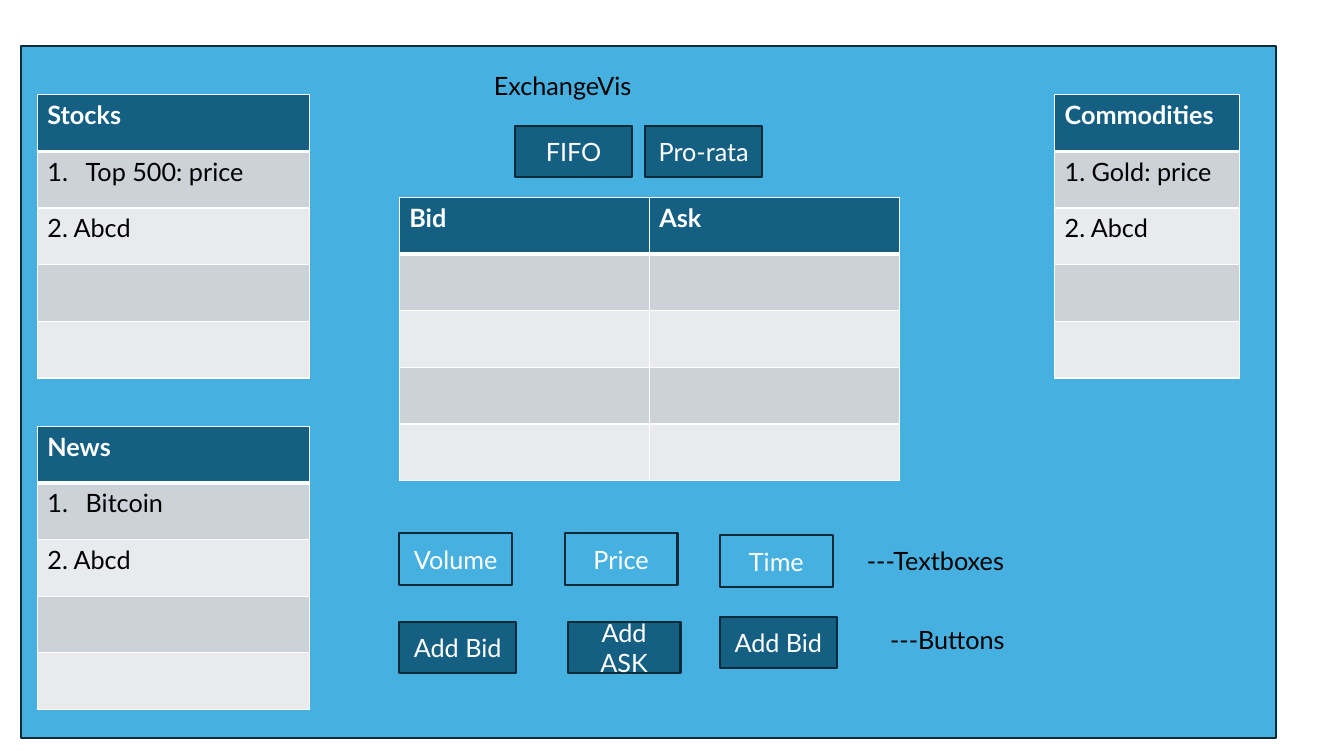
from dataclasses import dataclass

from lxml import etree
from pptx import Presentation
from pptx.dml.color import RGBColor
from pptx.enum import shapes, text
from pptx.oxml.ns import qn
from pptx.util import Inches, Pt


@dataclass(frozen=True)
class Theme:
    font: str = "Lato"
    size: int = 18
    panel: str = "46B1E1"
    accent: str = "156082"
    outline: str = "092A39"
    bands: tuple = ("CCD2D8", "E8EAED")
    light: str = "FFFFFF"
    dark: str = "000000"
    line: float = 1.5
    grid: float = 1
    header_rule: float = 3


class Mockup:
    def __init__(self, s, theme):
        self.s, self.theme = s, theme

    def run(self, p, content, color, bold=False):
        r = p.add_run()
        r.text = content
        f = r.font
        f.name, f.size, f.bold = self.theme.font, Pt(self.theme.size), bold
        f.color.rgb = RGBColor.from_string(color)

    def box(self, x, y, w, h, label="", fill=None):
        sp = self.s.shapes.add_shape(shapes.MSO_SHAPE.RECTANGLE,
                                     Inches(x), Inches(y), Inches(w), Inches(h))
        sp.shadow.inherit = False
        if fill:
            sp.fill.solid()
            sp.fill.fore_color.rgb = RGBColor.from_string(fill)
        else:
            sp.fill.background()
        sp.line.color.rgb = RGBColor.from_string(self.theme.outline)
        sp.line.width = Pt(self.theme.line)
        if label:
            tf = sp.text_frame
            tf.word_wrap = True
            tf.vertical_anchor = text.MSO_ANCHOR.MIDDLE
            p = tf.paragraphs[0]
            p.alignment = text.PP_ALIGN.CENTER
            self.run(p, label, self.theme.light)

    def label(self, x, y, w, content):
        tf = self.s.shapes.add_textbox(Inches(x), Inches(y), Inches(w), Inches(0.4)).text_frame
        tf.word_wrap = True
        tf.auto_size = text.MSO_AUTO_SIZE.SHAPE_TO_FIT_TEXT
        self.run(tf.paragraphs[0], content, self.theme.dark)

    def borders(self, cell, row):
        """White grid, with a heavier rule between the header and the body."""
        t = self.theme
        widths = {"lnL": t.grid, "lnR": t.grid,
                  "lnT": t.header_rule if row == 1 else t.grid,
                  "lnB": t.header_rule if row == 0 else t.grid}
        tc_pr = cell._tc.get_or_add_tcPr()
        for i, (tag, width) in enumerate(widths.items()):
            ln = etree.Element(qn(f"a:{tag}"), w=str(Pt(width)))
            fill = etree.SubElement(ln, qn("a:solidFill"))
            etree.SubElement(fill, qn("a:srgbClr"), val=t.light)
            tc_pr.insert(i, ln)

    def number(self, p):
        """Give the paragraph an automatic number and a hanging indent."""
        p_pr = p._p.get_or_add_pPr()
        p_pr.set("marL", str(Inches(0.38)))
        p_pr.set("indent", str(-Inches(0.38)))
        etree.SubElement(p_pr, qn("a:buFont"), typeface="+mj-lt")
        etree.SubElement(p_pr, qn("a:buAutoNum"), type="arabicPeriod")

    def table(self, x, y, w, headers, items=(), numbered=0, rows=5, h=2.81):
        """Single-column items fill the body; the first `numbered` are auto-numbered."""
        t = self.theme
        tbl = self.s.shapes.add_table(rows, len(headers), Inches(x), Inches(y),
                                      Inches(w), Inches(h)).table
        body = [[item] for item in items]
        body += [[""] * len(headers)] * (rows - 1 - len(body))
        for i, values in enumerate([headers] + body):
            for j, value in enumerate(values):
                cell = tbl.cell(i, j)
                self.borders(cell, i)
                cell.fill.solid()
                fill = t.bands[(i - 1) % 2] if i else t.accent
                cell.fill.fore_color.rgb = RGBColor.from_string(fill)
                p = cell.text_frame.paragraphs[0]
                if 1 <= i <= numbered:
                    self.number(p)
                if value:
                    self.run(p, value, t.dark if i else t.light, bold=i == 0)


def main():
    prs = Presentation()
    prs.slide_width, prs.slide_height = Inches(13.33), Inches(7.5)
    theme = Theme()
    m = Mockup(prs.slides.add_slide(prs.slide_layouts[6]), theme)

    m.box(0.21, 0.46, 12.45, 6.86, fill=theme.panel)
    m.label(4.8, 0.65, 2.91, "ExchangeVis")

    m.table(3.96, 1.96, 4.96, ["Bid", "Ask"])
    m.table(0.37, 0.94, 2.7, ["Stocks"], ["Top 500: price", "2. Abcd"], numbered=1)
    m.table(10.46, 0.94, 1.83, ["Commodities"], ["1. Gold: price", "2. Abcd"])
    m.table(0.37, 4.23, 2.7, ["News"], ["Bitcoin", "2. Abcd"], numbered=1)

    buttons = [(5.11, 1.25, 1.16, "FIFO"), (6.4, 1.25, 1.16, "Pro-rata"),
               (3.96, 6.17, 1.16, "Add Bid"), (5.63, 6.17, 1.12, "Add ASK"),
               (7.14, 6.12, 1.16, "Add Bid")]
    for x, y, w, name in buttons:
        m.box(x, y, w, 0.51, name, theme.accent)
    for x, y, name in [(3.96, 5.29, "Volume"), (5.6, 5.29, "Price"), (7.14, 5.31, "Time")]:
        m.box(x, y, 1.12, 0.51, name)

    m.label(8.5, 5.36, 1.96, "---Textboxes")
    m.label(8.73, 6.14, 1.96, "---Buttons")
    prs.save("out.pptx")


if __name__ == "__main__":
    main()
